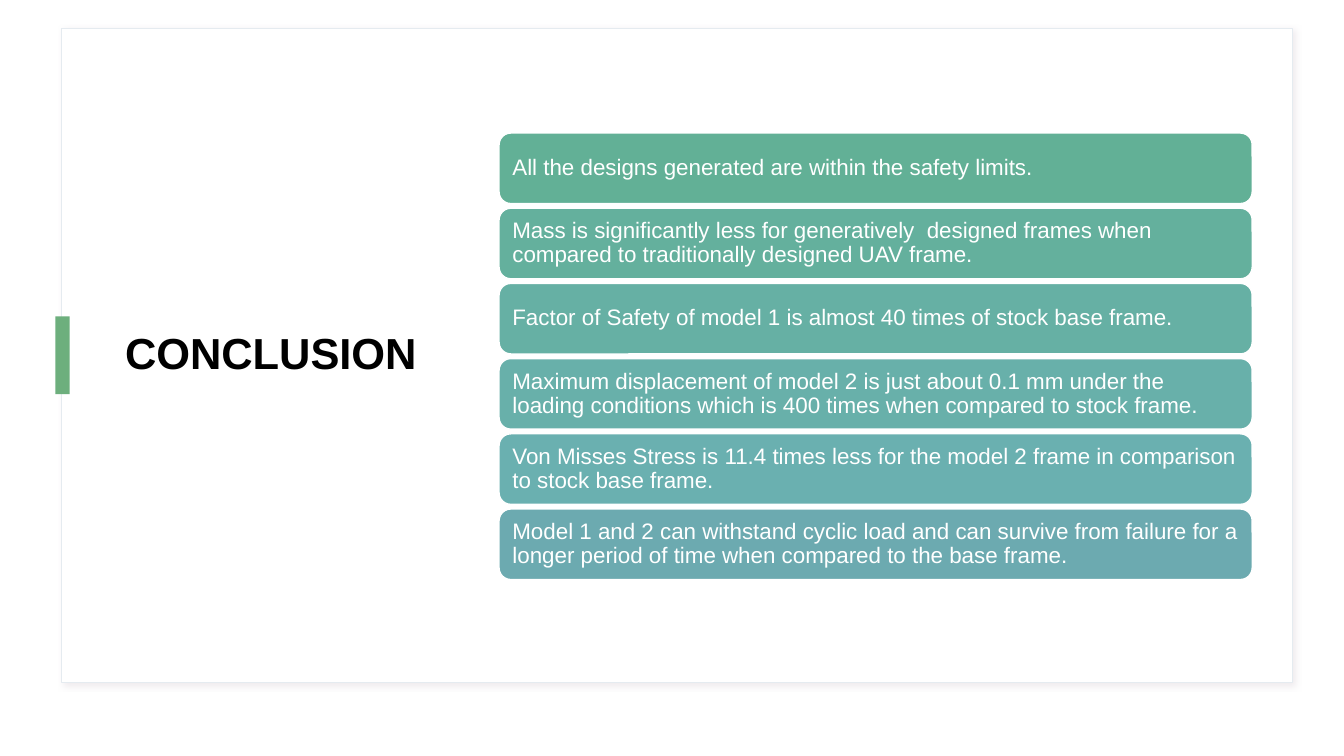
from lxml import etree
from pptx import Presentation
from pptx import util as u
from pptx.dml.color import RGBColor
from pptx.enum import shapes, text
from pptx.oxml import ns

THEME = {
    "font": "Arial",
    "title_size": u.Pt(31),
    "card_size": u.Pt(16),
    "black": RGBColor.from_string("000000"),
    "white": RGBColor.from_string("FFFFFF"),
    "accent": RGBColor.from_string("6DAF7D"),
    "frame_line": RGBColor.from_string("E5EBF0"),
    "frame_shadow": "CABCC7",
}

CARDS = [
    ("62B096", "All the designs generated are within the safety limits."),
    ("64B09D", "Mass is significantly less for generatively  designed frames "
               "when compared to traditionally designed UAV frame."),
    ("66B0A4", "Factor of Safety of model 1 is almost 40 times of stock base frame."),
    ("68B0AA", "Maximum displacement of model 2 is just about 0.1 mm under the loading "
               "conditions which is 400 times when compared to stock frame."),
    ("6AB0B0", "Von Misses Stress is 11.4 times less for the model 2 frame "
               "in comparison to stock base frame."),
    ("6CAAB0", "Model 1 and 2 can withstand cyclic load and can survive from failure "
               "for a longer period of time when compared to the base frame."),
]


def add_block(slide, kind, box, fill, line=None):
    shape = slide.shapes.add_shape(kind, *[u.Inches(length) for length in box])
    shape.shadow.inherit = False
    shape.fill.solid()
    shape.fill.fore_color.rgb = fill
    if line is None:
        shape.line.fill.background()
    else:
        shape.line.color.rgb = line
        shape.line.width = u.Pt(1)
    return shape


def write_text(shape, words, frame_format, font_format):
    frame = shape.text_frame
    frame.text = words
    for name, value in frame_format.items():
        setattr(frame, name, value)
    paragraph = frame.paragraphs[0]
    paragraph.alignment = text.PP_ALIGN.LEFT
    paragraph.line_spacing = 0.9
    font = paragraph.runs[0].font
    font.name = THEME["font"]
    font.color.rgb = font_format["color"]
    font.size = font_format["size"]
    font.bold = font_format["bold"]


presentation = Presentation()
presentation.slide_width = u.Inches(13.33)
presentation.slide_height = u.Inches(7.5)
slide = presentation.slides.add_slide(presentation.slide_layouts.get_by_name("Title Only"))
title = slide.shapes.title
RECTANGLE = shapes.MSO_SHAPE.RECTANGLE
ROUNDED = shapes.MSO_SHAPE.ROUNDED_RECTANGLE

# Frame with a soft shadow, behind the title
frame = add_block(slide, RECTANGLE, (0.61, 0.28, 12.21, 6.49),
                  THEME["white"], THEME["frame_line"])
effects = frame._element.spPr.find(ns.qn("a:effectLst"))
shadow = etree.SubElement(effects, ns.qn("a:outerShdw"), blurRad=str(u.Pt(4)),
                          dist=str(u.Pt(3)), dir=str(45 * 60000))
shadow_color = etree.SubElement(shadow, ns.qn("a:srgbClr"), val=THEME["frame_shadow"])
etree.SubElement(shadow_color, ns.qn("a:alpha"), val="30000")
title._element.addprevious(frame._element)

# Title and its accent bar
title_box = {"left": 1.14, "top": 0.55, "width": 3.27, "height": 5.95}
for name, length in title_box.items():
    setattr(title, name, u.Inches(length))
write_text(title, "CONCLUSION",
           {"vertical_anchor": text.MSO_ANCHOR.MIDDLE, "word_wrap": True,
            "auto_size": text.MSO_AUTO_SIZE.NONE},
           {"color": THEME["black"], "size": THEME["title_size"], "bold": True})
add_block(slide, RECTANGLE, (0.55, 3.14, 0.14, 0.77), THEME["accent"])

# Column of conclusion cards
CARD_LEFT, CARD_WIDTH, CARD_HEIGHT = 4.95, 7.47, 0.7
FIRST_TOP, LAST_TOP = 1.32, 5.05
pitch = (LAST_TOP - FIRST_TOP) / (len(CARDS) - 1)
card_format = {"vertical_anchor": text.MSO_ANCHOR.MIDDLE, "word_wrap": True}
for side in ("left", "top", "right", "bottom"):
    card_format[f"margin_{side}"] = u.Inches(0.1)

for row, (color, words) in enumerate(CARDS):
    card = add_block(slide, ROUNDED,
                     (CARD_LEFT, FIRST_TOP + row * pitch, CARD_WIDTH, CARD_HEIGHT),
                     RGBColor.from_string(color), THEME["white"])
    write_text(card, words, card_format,
               {"color": THEME["white"], "size": THEME["card_size"], "bold": False})

presentation.save("out.pptx")
